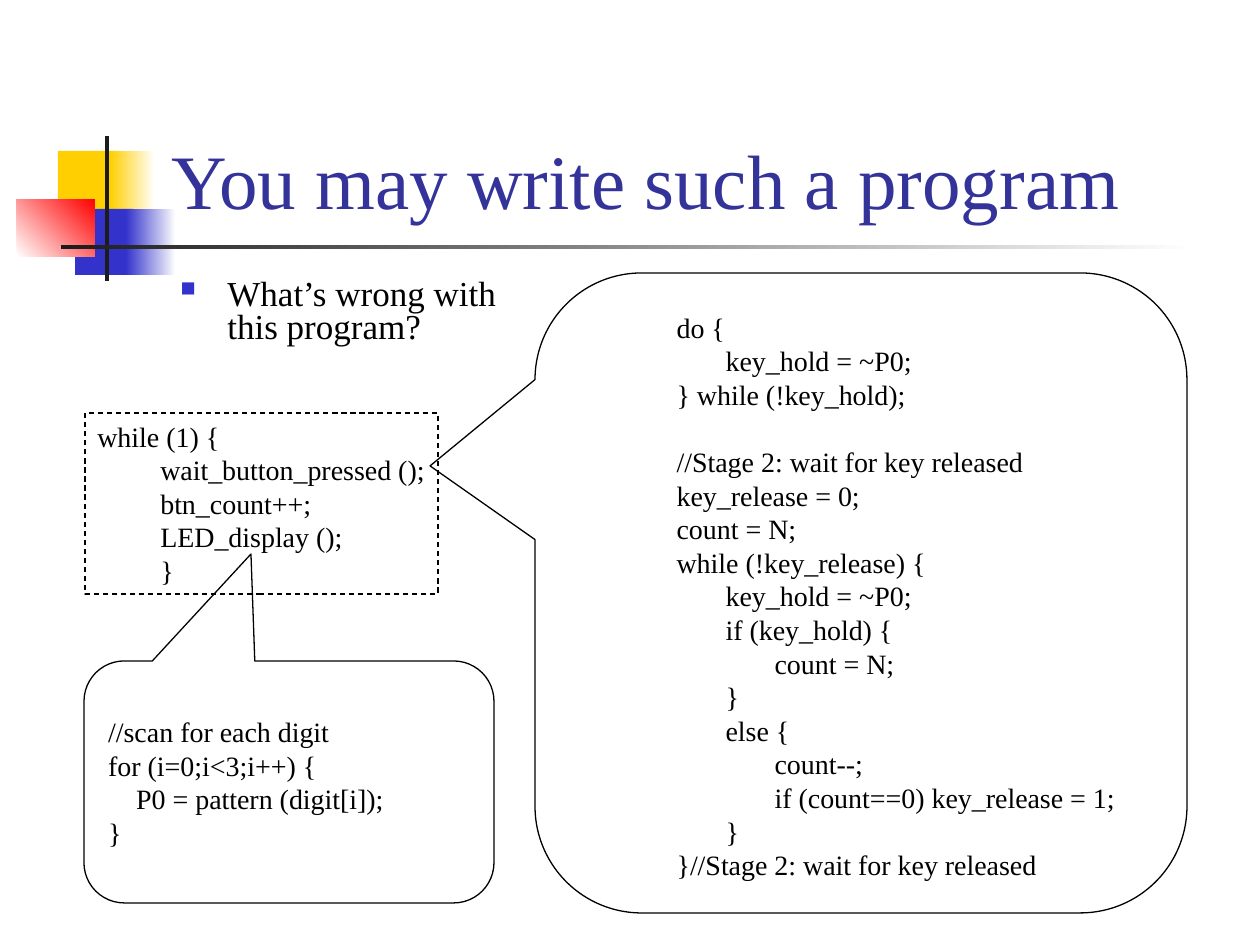
from lxml import etree
from pptx import Presentation, util as u
from pptx.dml.color import RGBColor
from pptx.enum import dml, shapes, text
from pptx.oxml.ns import qn

# Content: code lines are (indent level, text); None is an empty line
TITLE = "You may write such a program"
QUESTION = "What’s wrong with this program?"
MAIN_LOOP = [
    (0, "while (1) {"),
    (1, "wait_button_pressed ();"),
    (1, "btn_count++;"),
    (1, "LED_display ();"),
    (1, "}"),
]
BUTTON_CODE = [
    (0, "do {"),
    (1, "key_hold = ~P0;"),
    (0, "} while (!key_hold);"),
    None,
    (0, "//Stage 2: wait for key released"),
    (0, "key_release = 0;"),
    (0, "count = N;"),
    (0, "while (!key_release) {"),
    (1, "key_hold = ~P0;"),
    (1, "if (key_hold) {"),
    (2, "count = N;"),
    (1, "}"),
    (1, "else {"),
    (2, "count--;"),
    (2, "if (count==0) key_release = 1;"),
    (1, "}"),
    (0, "}//Stage 2: wait for key released"),
]
DISPLAY_CODE = [
    (0, "//scan for each digit"),
    (0, "for (i=0;i<3;i++) {"),
    (0, "    P0 = pattern (digit[i]);"),
    (0, "}"),
]

COLORS = {"yellow": "FFCF01", "blue": "3333CC", "red": "FF0000", "white": "FFFFFF",
          "dark": "1C1C1C", "title": "333399", "black": "000000"}
FONT = "Times New Roman"
LINE = u.Pt(19.2)

# Decoration: box in px, first colour, second colour, gradient angle
DECOR = [
    ((58, 151, 60, 66), "yellow", None, 0),
    ((110, 151, 45, 66), "yellow", "white", 0),
    ((75, 209, 58, 66), "blue", None, 0),
    ((126, 209, 50, 66), "blue", "white", 0),
    ((17, 199, 78, 58), "white", "red", 45),
    ((105, 136, 4, 145), "dark", None, 0),
    ((61, 245, 1134, 4), "dark", "white", 0),
]


def px(n):
    return round(n * 914400 / 126)


def rgb(name):
    return RGBColor.from_string(COLORS[name])


def add_box(s, box, kind=shapes.MSO_SHAPE.RECTANGLE, outline=False):
    sp = s.shapes.add_shape(kind, *map(px, box))
    sp.shadow.inherit = False
    sp.fill.background()
    if outline:
        sp.line.color.rgb = rgb("black")
        sp.line.width = u.Pt(0.75)
    else:
        sp.line.fill.background()
    return sp


def add_callout(s, box, tip):
    sp = add_box(s, box, shapes.MSO_SHAPE.ROUNDED_RECTANGULAR_CALLOUT, outline=True)
    x, y, w, h = box
    sp.adjustments[0] = (tip[0] - x - w / 2) / w
    sp.adjustments[1] = (tip[1] - y - h / 2) / h
    sp.adjustments[2] = 1 / 6
    return sp


def write(sp, lines, size=16, color="black", anchor="TOP", margin=0, step=0,
          spacing=LINE, bullet=None, right=12):
    tf = sp.text_frame
    tf.word_wrap = True
    tf.vertical_anchor = text.MSO_ANCHOR[anchor]
    tf.margin_left, tf.margin_right = u.Inches(0.1), px(right)
    tf.margin_top = tf.margin_bottom = u.Inches(0.05)
    p, gap = tf.paragraphs[0], False
    for i, line in enumerate(lines):
        if line is None:
            gap = True
            continue
        level, words = line
        p = tf.add_paragraph() if i else p
        p.alignment = text.PP_ALIGN.LEFT
        p.line_spacing = spacing
        if gap:
            p.space_before, gap = LINE, False
        pPr = p._p.get_or_add_pPr()
        pPr.set("marL", str(px(margin + level * step)))
        pPr.set("indent", str(px(-margin) if bullet else 0))
        if bullet:
            clr = etree.SubElement(pPr, qn("a:buClr"))
            etree.SubElement(clr, qn("a:srgbClr"), val=COLORS["blue"])
            etree.SubElement(pPr, qn("a:buSzPct"), val="60000")
            etree.SubElement(pPr, qn("a:buChar"), char=bullet)
        r = p.add_run()
        r.text = words
        r.font.name, r.font.size = FONT, u.Pt(size)
        r.font.color.rgb = rgb(color)


prs = Presentation()
prs.slide_width, prs.slide_height = px(1260), px(945)
s = prs.slides.add_slide(prs.slide_layouts[6])

# Coloured squares and rules
for box, first, second, angle in DECOR:
    fill = add_box(s, box).fill
    if second:
        fill.gradient()
        fill.gradient_angle = angle
        for stop, name in zip(fill.gradient_stops, (first, second)):
            stop.color.rgb = rgb(name)
    else:
        fill.solid()
        fill.fore_color.rgb = rgb(first)

# Title and question
title = s.shapes.add_textbox(*map(px, (159, 29, 1074, 202)))
write(title, [(0, TITLE)], size=44, color="title", anchor="BOTTOM", spacing=1.0)
question = s.shapes.add_textbox(*map(px, (168, 273, 357, 116)))
write(question, [(0, QUESTION)], size=20, margin=47, spacing=0.8, bullet="■")

# Callouts with the code of each function
button = add_callout(s, (535, 273, 652, 640), tip=(430, 466))
write(button, BUTTON_CODE, margin=98, step=49)
display = add_callout(s, (84, 661, 410, 242), tip=(251, 554))
write(display, DISPLAY_CODE, anchor="MIDDLE")

# Main loop in a dashed frame
loop = add_box(s, (85, 413, 353, 181), outline=True)
loop.line.dash_style = dml.MSO_LINE.DASH
write(loop, MAIN_LOOP, step=63, right=0)

prs.save("out.pptx")
